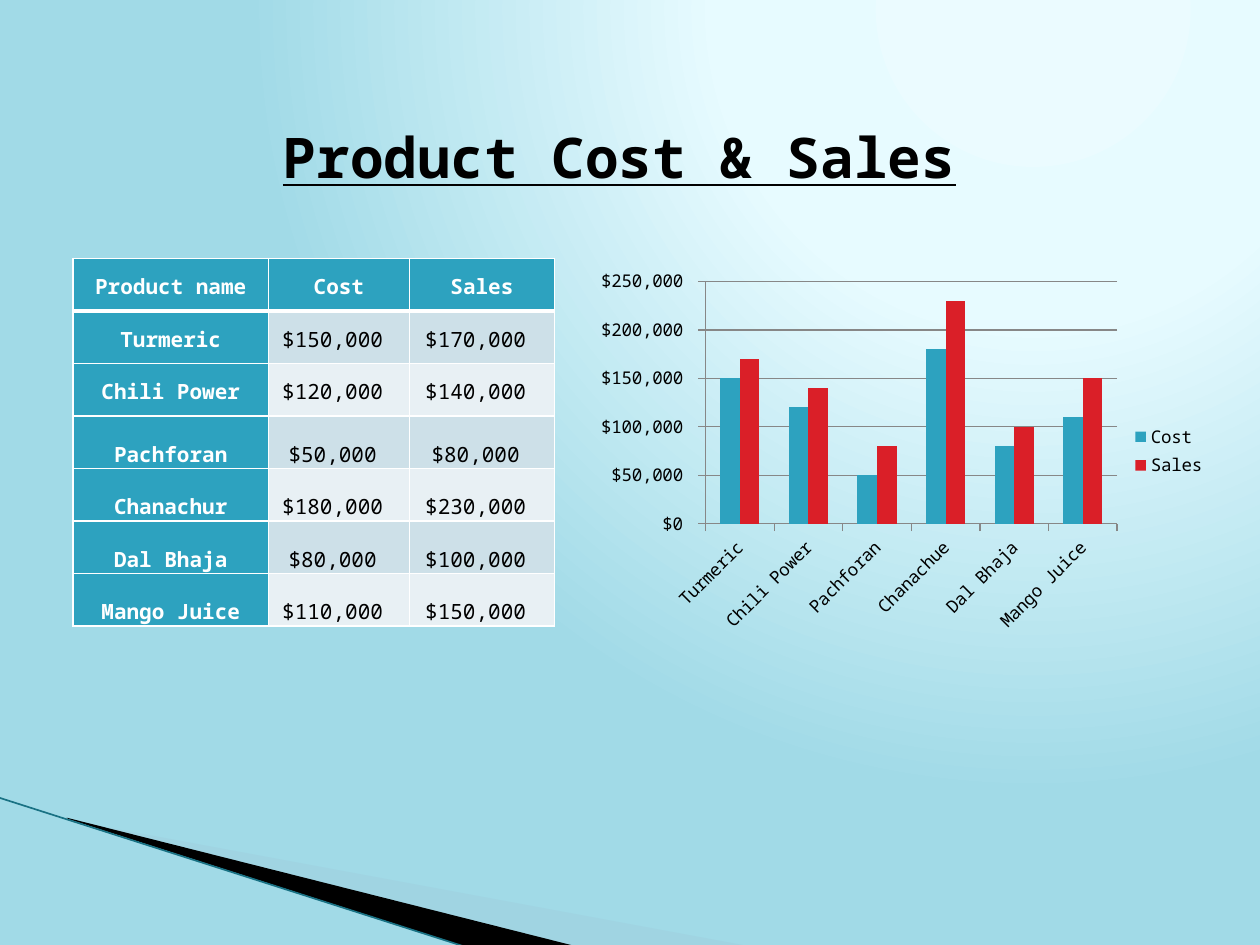
from pptx import Presentation
from pptx.chart.data import CategoryChartData
from pptx.dml.color import RGBColor
from pptx.enum.chart import XL_CHART_TYPE, XL_LEGEND_POSITION, XL_TICK_MARK
from pptx.enum.shapes import MSO_CONNECTOR
from pptx.enum.text import MSO_ANCHOR, MSO_AUTO_SIZE, PP_ALIGN
from pptx.oxml import parse_xml
from pptx.oxml.ns import nsdecls, qn
from pptx.oxml.xmlchemy import OxmlElement
from pptx.util import Inches, Pt

CENTER = PP_ALIGN.CENTER
MIDDLE, BOTTOM = MSO_ANCHOR.MIDDLE, MSO_ANCHOR.BOTTOM
FIT_SHAPE = MSO_AUTO_SIZE.SHAPE_TO_FIT_TEXT
COLUMNS = XL_CHART_TYPE.COLUMN_CLUSTERED
LEGEND_RIGHT = XL_LEGEND_POSITION.RIGHT
TICK_OUT = XL_TICK_MARK.OUTSIDE
STRAIGHT = MSO_CONNECTOR.STRAIGHT

FONT = "Noto Sans Mono"
COLORS = {
    "glow": "EBFBFF", "glow_edge": "E7FBFF", "sky": "A1DAE7",
    "pale_wedge": "A0CBDC", "wedge_line": "197284",
    "black": "000000", "white": "FFFFFF", "grid": "878787",
    "cost": "2DA2BF", "sales": "DA1F28",
    "band_dark": "CDE0E8", "band_light": "E8F0F4",
}
PRODUCTS = [
    ("Turmeric", 150000, 170000),
    ("Chili Power", 120000, 140000),
    ("Pachforan", 50000, 80000),
    ("Chanachur", 180000, 230000),
    ("Dal Bhaja", 80000, 100000),
    ("Mango Juice", 110000, 150000),
]
CHART_NAMES = ["Turmeric", "Chili Power", "Pachforan", "Chanachue",
               "Dal Bhaja", "Mango Juice"]
MONEY_FORMAT = r'"$"#,##0_);[Red]\("$"#,##0\)'


def color(name):
    return RGBColor.from_string(COLORS[name])


def style_font(font, size, color_name, bold=False):
    font.name, font.size, font.bold = FONT, Pt(size), bold
    font.color.rgb = color(color_name)


def paint_background(page):
    """Fill the page with a glow that spreads from the upper right."""
    page.background.fill.gradient()
    gradient = page._element.find(".//" + qn("a:gradFill"))
    stops = "".join(
        f'<a:gs pos="{place * 1000}"><a:srgbClr val="{COLORS[name]}"/></a:gs>'
        for place, name in ((0, "glow"), (40, "glow_edge"), (100, "sky")))
    glow = parse_xml(
        f'<a:gradFill {nsdecls("a")} rotWithShape="1"><a:gsLst>{stops}</a:gsLst>'
        '<a:path path="circle"><a:fillToRect l="65000" t="0" r="0" b="98000"/>'
        '</a:path></a:gradFill>')
    gradient.getparent().replace(gradient, glow)


def add_wedge(page, points, color_name, opacity=100):
    corners = [(Inches(x), Inches(y)) for x, y in points]
    builder = page.shapes.build_freeform(*corners[0], scale=1.0)
    builder.add_line_segments(corners[1:], close=True)
    wedge = builder.convert_to_shape()
    wedge.shadow.inherit = False
    wedge.fill.solid()
    wedge.fill.fore_color.rgb = color(color_name)
    wedge.line.fill.background()
    if opacity < 100:
        alpha = OxmlElement("a:alpha")
        alpha.set("val", str(opacity * 1000))
        wedge._element.spPr.find(".//" + qn("a:srgbClr")).append(alpha)


def add_corner_decoration(page):
    add_wedge(page, [(0.55, 6.51), (5.95, 7.51), (4.56, 7.51), (0.55, 6.5)],
              "pale_wedge", 40)
    add_wedge(page, [(0.53, 6.49), (4.57, 7.51), (3.72, 7.52), (0.54, 6.5)],
              "black")
    edge = page.shapes.add_connector(
        STRAIGHT, Inches(-0.01), Inches(6.33), Inches(3.71), Inches(7.52))
    edge.line.color.rgb = color("wedge_line")
    edge.line.width = Pt(0.95)
    edge._element.spPr.append(OxmlElement("a:effectLst"))


def add_title(page, left, top, width, height):
    frame = page.shapes.add_textbox(left, top, width, height).text_frame
    frame.word_wrap = True
    frame.auto_size = FIT_SHAPE
    para = frame.paragraphs[0]
    para.text = "Product Cost & Sales"
    para.alignment = CENTER
    style_font(para.font, 32, "black", bold=True)
    para.font.underline = True


def set_borders(cell, bottom_width):
    properties = cell._tc.get_or_add_tcPr()
    widths = {"lnL": 1, "lnR": 1, "lnT": 1, "lnB": bottom_width}
    for index, (side, width) in enumerate(widths.items()):
        properties.insert(index, parse_xml(
            f'<a:{side} {nsdecls("a")} w="{Pt(width)}"><a:solidFill>'
            f'<a:srgbClr val="{COLORS["white"]}"/></a:solidFill></a:{side}>'))


def fill_cell(cell, text, row, column):
    heading = row == 0 or column == 0
    band = "band_dark" if row % 2 else "band_light"
    cell.fill.solid()
    cell.fill.fore_color.rgb = color("cost" if heading else band)
    cell.margin_left = cell.margin_right = Inches(0.07)
    cell.margin_top = cell.margin_bottom = 0
    cell.vertical_anchor = MIDDLE if row < 3 else BOTTOM
    para = cell.text_frame.paragraphs[0]
    para.text = text
    para.alignment = CENTER
    para.line_spacing = 1.15
    style_font(para.font, 12, "white" if heading else "black", heading)
    set_borders(cell, 3 if row == 0 else 1)


def add_product_table(page, left, top, width, height):
    rows = [("Product name", "Cost", "Sales")]
    rows += [(name, f"${cost:,} ", f"${sales:,} ")
             for name, cost, sales in PRODUCTS]
    table = page.shapes.add_table(
        len(rows), len(rows[0]), left, top, width, height).table
    for column, share in zip(table.columns, (1.55, 1.12, 1.15)):
        column.width = int(width * share / 3.82)
    for row, texts in enumerate(rows):
        for column, text in enumerate(texts):
            fill_cell(table.cell(row, column), text, row, column)


def add_product_chart(page, left, top, width, height):
    data = CategoryChartData(number_format=MONEY_FORMAT)
    data.categories = CHART_NAMES
    _, costs, sales = zip(*PRODUCTS)
    data.add_series("Cost", costs)
    data.add_series("Sales", sales)
    chart = page.shapes.add_chart(
        COLUMNS, left, top, width, height, data).chart
    style_font(chart.font, 10, "black")
    chart.has_title = False
    chart.has_legend = True
    chart.legend.position = LEGEND_RIGHT
    chart.legend.include_in_layout = False

    plot = chart.plots[0]
    plot.gap_width = 150
    plot.vary_by_categories = False
    for series, name in zip(plot.series, ("cost", "sales")):
        series.format.fill.solid()
        series.format.fill.fore_color.rgb = color(name)

    values = chart.value_axis
    values.has_major_gridlines = True
    values.tick_labels.number_format = MONEY_FORMAT
    values.tick_labels.number_format_is_linked = False
    for axis in (values, chart.category_axis):
        axis.major_tick_mark = TICK_OUT
        axis.format.line.color.rgb = color("grid")
    values.major_gridlines.format.line.color.rgb = color("grid")


def main():
    deck = Presentation()
    deck.slide_width, deck.slide_height = Inches(10), Inches(7.5)
    page = deck.slides.add_slide(deck.slide_layouts[6])
    paint_background(page)
    add_corner_decoration(page)
    add_title(page, Inches(1.25), Inches(0.92), Inches(7.33), Inches(0.64))
    add_product_table(page, Inches(0.58), Inches(2.05), Inches(3.82), Inches(2.92))
    add_product_chart(page, Inches(4.67), Inches(2.08), Inches(5), Inches(3))
    deck.save("out.pptx")


if __name__ == "__main__":
    main()
